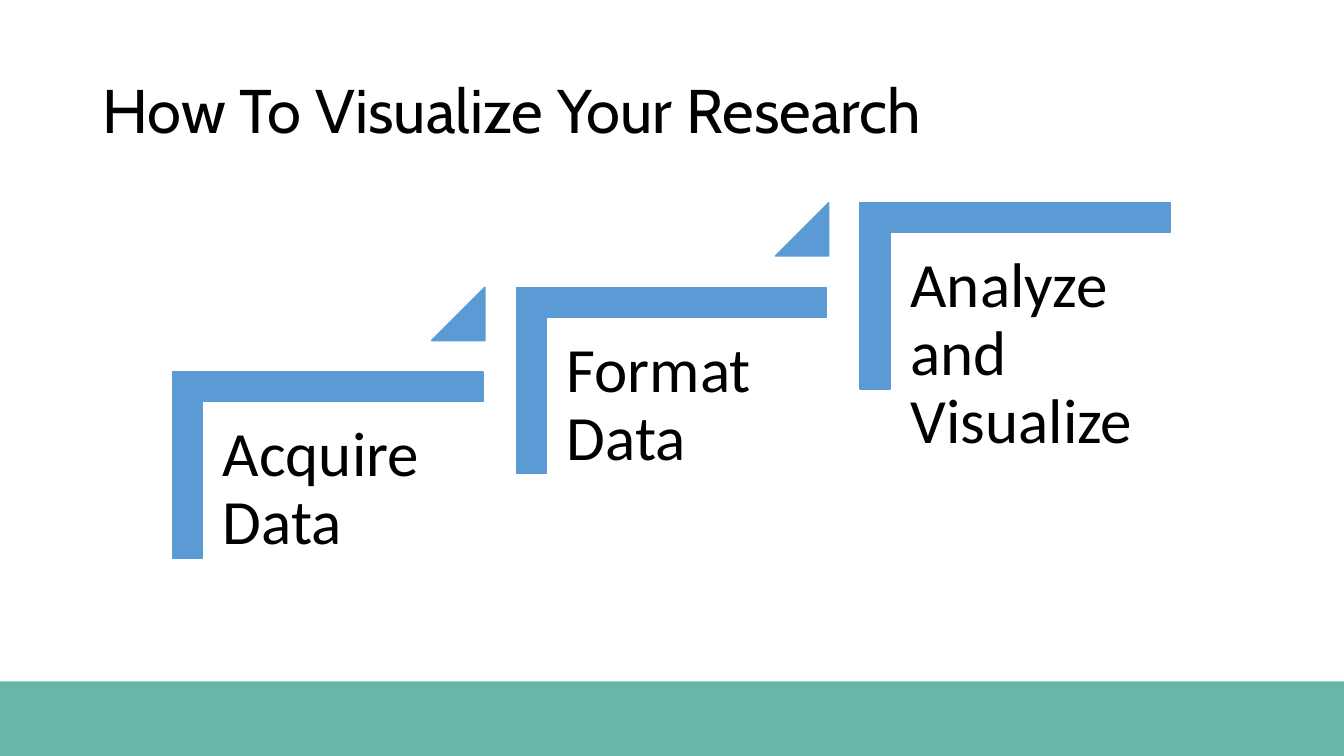
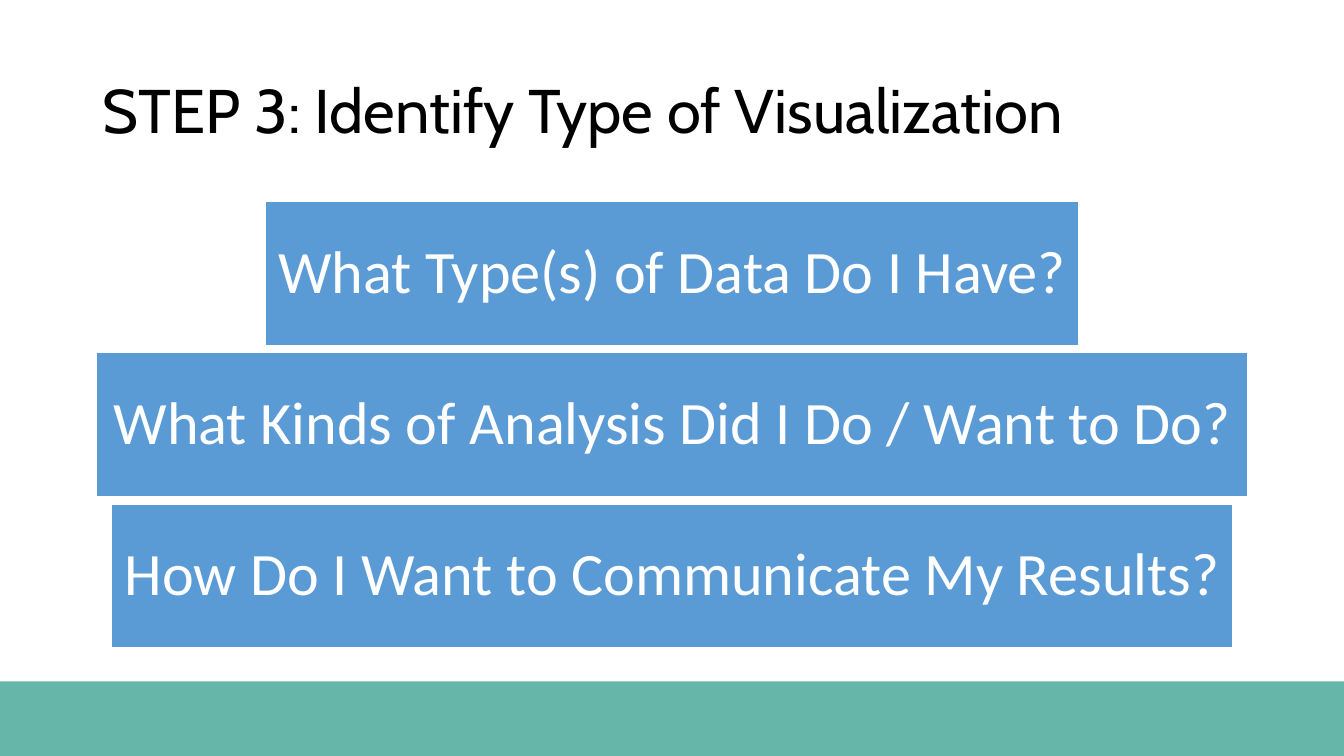
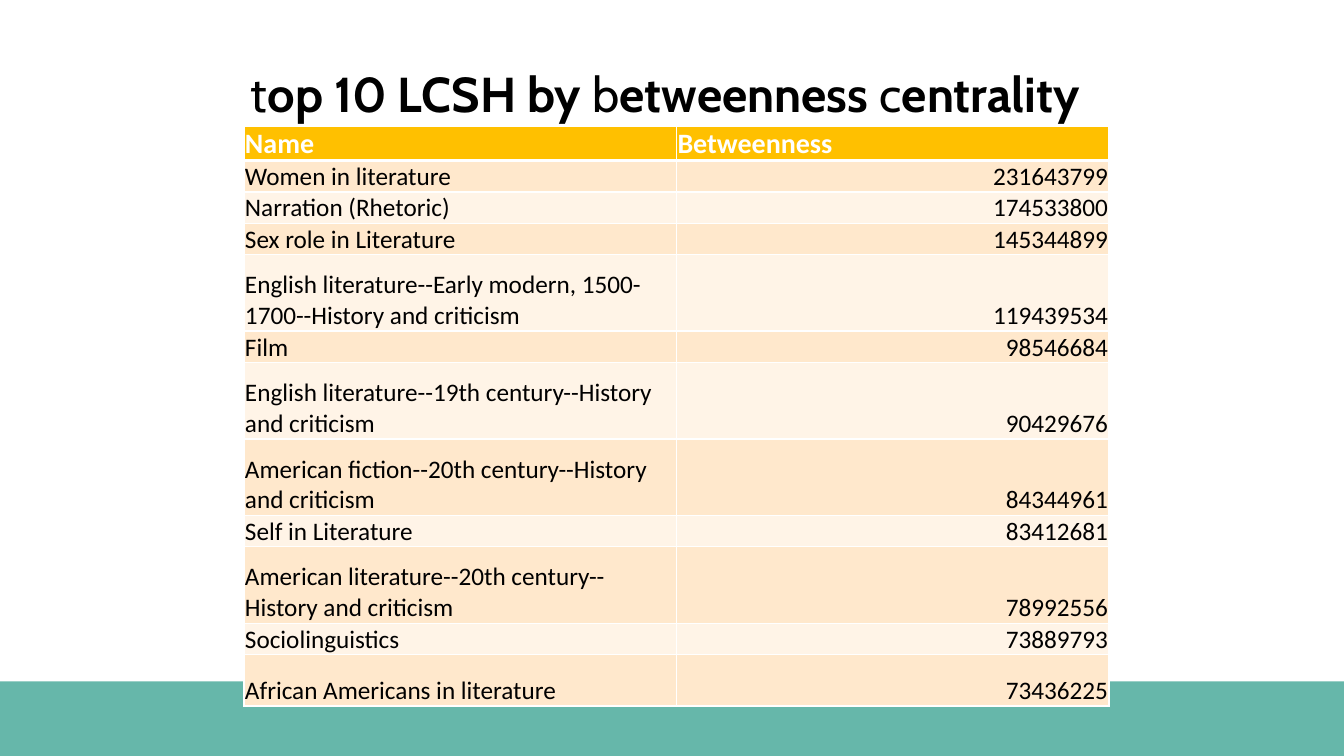
from dataclasses import dataclass
from typing import NamedTuple

from lxml.etree import SubElement
from pptx import Presentation
from pptx.dml.color import RGBColor
from pptx.enum.shapes import MSO_SHAPE as Preset
from pptx.enum.text import MSO_ANCHOR as Anchor, PP_ALIGN as Align
from pptx.oxml import parse_xml
from pptx.oxml.ns import nsdecls, qn
from pptx.shapes.autoshape import Shape
from pptx.slide import Slide
from pptx.table import _Cell as Cell
from pptx.text.text import TextFrame
from pptx.util import Inches, Pt


@dataclass(frozen=True)
class Theme:
    width: float = 13.33
    height: float = 7.5
    band_top: float = 6.76
    band: str = "319F8D"
    band_opacity: int = 74
    accent: str = "5B9BD5"
    dark: str = "000000"
    light: str = "FFFFFF"
    header: str = "FFC000"
    stripes: tuple[str, str] = ("FFE8CC", "FFF4E7")
    title_font: str = "Cabin"
    body_font: str = "Calibri"
    title_size: int = 44
    small_title_size: int = 35
    step_size: int = 45
    question_size: int = 43
    header_size: int = 20
    cell_size: int = 18
    line_spacing: float = 0.9


THEME = Theme()


class Box(NamedTuple):
    left: float
    top: float
    width: float
    height: float


class Span(NamedTuple):
    text: str
    bold: bool = False


class Question(NamedTuple):
    text: str
    width: float


class Subject(NamedTuple):
    name: str
    betweenness: int
    row_height: float = 0.3


TITLE_BOX = Box(0.92, 0.4, 11.5, 1.45)
TABLE_TITLE_BOX = Box(2.39, 0.5, 9.61, 0.92)

# Staircase: first step's corner, shift to the next step, bracket size
STEPS = ("Acquire Data", "Format Data", "Analyze and Visualize")
STEP_LEFT, STEP_TOP = 1.71, 3.69
STEP_RIGHT, STEP_RISE = 3.41, 0.84
BRACKET_WIDTH, BRACKET_HEIGHT = 3.08, 1.85
BRACKET_THICKNESS = 0.16
POINTER_SIZE = 0.53

QUESTIONS = (
    Question("What Type(s) of Data Do I Have?", 8.07),
    Question("What Kinds of Analysis Did I Do / Want to Do?", 11.42),
    Question("How Do I Want to Communicate My Results?", 11.13),
)
QUESTION_TOP, QUESTION_HEIGHT, QUESTION_PITCH = 2, 1.43, 1.5

HEADINGS = ("Name", "Betweenness")
HEADING_HEIGHT = 0.3
SUBJECTS = (
    Subject("Women in literature", 231643799),
    Subject("Narration (Rhetoric)", 174533800),
    Subject("Sex role in Literature", 145344899),
    Subject("English literature--Early modern, 1500-1700--History and criticism", 119439534, 0.76),
    Subject("Film", 98546684),
    Subject("English literature--19th century--History and criticism", 90429676, 0.76),
    Subject("American fiction--20th century--History and criticism", 84344961, 0.76),
    Subject("Self in Literature", 83412681),
    Subject("American literature--20th century--History and criticism", 78992556, 0.76),
    Subject("Sociolinguistics", 73889793),
    Subject("African Americans in literature", 73436225, 0.51),
)
TABLE_LEFT, TABLE_TOP, COLUMN_WIDTH = 2.42, 1.25, 4.29


def inches(box: Box) -> list[int]:
    return [Inches(length) for length in box]


def add_preset(slide: Slide, preset: Preset, box: Box, fill: str, line: str | None = None) -> Shape:
    shape = slide.shapes.add_shape(preset, *inches(box))
    shape.shadow.inherit = False
    shape.fill.solid()
    shape.fill.fore_color.rgb = RGBColor.from_string(fill)
    if line:
        shape.line.color.rgb = RGBColor.from_string(line)
        shape.line.width = Pt(1)
    else:
        shape.line.fill.background()
    return shape


def write(frame: TextFrame, spans: list[Span], font: str, size: int, color: str,
          inset: tuple[float, float], anchor: Anchor, align: Align = Align.LEFT) -> None:
    frame.word_wrap = True
    frame.margin_left = frame.margin_right = Inches(inset[0])
    frame.margin_top = frame.margin_bottom = Inches(inset[1])
    frame.vertical_anchor = anchor
    paragraph = frame.paragraphs[0]
    paragraph.alignment = align
    paragraph.line_spacing = THEME.line_spacing
    paragraph.font.name = font
    paragraph.font.size = Pt(size)
    paragraph.font.color.rgb = RGBColor.from_string(color)
    for span in spans:
        run = paragraph.add_run()
        run.text = span.text
        if span.bold:
            run.font.bold = True


def start_slide(presentation: Presentation, title: list[Span], box: Box = TITLE_BOX,
                size: int = THEME.title_size) -> Slide:
    """Add a blank slide with the shared band and title."""
    slide = presentation.slides.add_slide(presentation.slide_layouts[6])
    band_box = Box(0, THEME.band_top, THEME.width, THEME.height - THEME.band_top)
    band = add_preset(slide, Preset.RECTANGLE, band_box, THEME.band)
    color = band.fill._xPr.find(qn("a:solidFill"))[0]
    SubElement(color, qn("a:alpha")).set("val", str(THEME.band_opacity * 1000))
    frame = slide.shapes.add_textbox(*inches(box)).text_frame
    write(frame, title, THEME.title_font, size, THEME.dark, (0.1, 0.05), Anchor.MIDDLE)
    return slide


def add_step(slide: Slide, index: int, label: str) -> None:
    left = STEP_LEFT + index * STEP_RIGHT
    top = STEP_TOP - index * STEP_RISE
    # The bracket is an upright corner turned about its centre
    turn = (BRACKET_WIDTH - BRACKET_HEIGHT) / 2
    bracket = add_preset(slide, Preset.CORNER,
                         Box(left + turn, top - turn, BRACKET_HEIGHT, BRACKET_WIDTH),
                         THEME.accent, THEME.accent)
    bracket.rotation = 90
    bracket.adjustments[0] = bracket.adjustments[1] = BRACKET_THICKNESS
    frame = slide.shapes.add_textbox(*inches(Box(left + 0.31, top + 0.31, 2.78, 2.44))).text_frame
    write(frame, [Span(label)], THEME.body_font, THEME.step_size, THEME.dark,
          (0.19, 0.19), Anchor.TOP)
    # A pointer leads up to the next step
    if index < len(STEPS) - 1:
        pointer_left = left + BRACKET_WIDTH - POINTER_SIZE + 0.02
        pointer = add_preset(slide, Preset.ISOSCELES_TRIANGLE,
                             Box(pointer_left, top - STEP_RISE, POINTER_SIZE, POINTER_SIZE),
                             THEME.accent, THEME.accent)
        pointer.adjustments[0] = 1


def add_question(slide: Slide, index: int, question: Question) -> None:
    box = Box((THEME.width - question.width) / 2, QUESTION_TOP + index * QUESTION_PITCH,
              question.width, QUESTION_HEIGHT)
    bar = add_preset(slide, Preset.RECTANGLE, box, THEME.accent, THEME.light)
    write(bar.text_frame, [Span(question.text)], THEME.body_font, THEME.question_size,
          THEME.light, (0.12, 0.12), Anchor.MIDDLE, Align.CENTER)


def set_borders(cell: Cell, top: int, bottom: int) -> None:
    properties = cell._tc.get_or_add_tcPr()
    for position, (side, width) in enumerate((("L", 1), ("R", 1), ("T", top), ("B", bottom))):
        properties.insert(position, parse_xml(
            f'<a:ln{side} {nsdecls("a")} w="{Pt(width)}"><a:solidFill>'
            f'<a:srgbClr val="{THEME.light}"/></a:solidFill></a:ln{side}>'))


def fill_cell(cell: Cell, text: str, row: int, column: int) -> None:
    is_header = row == 0
    cell.margin_left = cell.margin_right = cell.margin_top = Inches(0.01)
    cell.margin_bottom = 0
    cell.vertical_anchor = Anchor.BOTTOM
    cell.fill.solid()
    fill = THEME.header if is_header else THEME.stripes[(row - 1) % 2]
    cell.fill.fore_color.rgb = RGBColor.from_string(fill)
    set_borders(cell, top=3 if row == 1 else 1, bottom=3 if is_header else 1)
    cell.text = text
    paragraph = cell.text_frame.paragraphs[0]
    paragraph.alignment = Align.RIGHT if column and not is_header else Align.LEFT
    paragraph.font.name = THEME.body_font
    paragraph.font.size = Pt(THEME.header_size if is_header else THEME.cell_size)
    paragraph.font.bold = is_header
    paragraph.font.color.rgb = RGBColor.from_string(THEME.light if is_header else THEME.dark)


def add_subject_table(slide: Slide) -> None:
    rows = [HEADINGS] + [(subject.name, str(subject.betweenness)) for subject in SUBJECTS]
    heights = [HEADING_HEIGHT] + [subject.row_height for subject in SUBJECTS]
    box = Box(TABLE_LEFT, TABLE_TOP, COLUMN_WIDTH * len(HEADINGS), sum(heights))
    table = slide.shapes.add_table(len(rows), len(HEADINGS), *inches(box)).table
    for row, (texts, height) in enumerate(zip(rows, heights)):
        table.rows[row].height = Inches(height)
        for column, text in enumerate(texts):
            fill_cell(table.cell(row, column), text, row, column)


def main() -> None:
    presentation = Presentation()
    presentation.slide_width = Inches(THEME.width)
    presentation.slide_height = Inches(THEME.height)

    # Staircase of steps
    slide = start_slide(presentation, [Span("How To Visualize Your Research")])
    for index, label in enumerate(STEPS):
        add_step(slide, index, label)

    # Stacked questions
    slide = start_slide(presentation, [Span("STEP 3: Identify Type of Visualization")])
    for index, question in enumerate(QUESTIONS):
        add_question(slide, index, question)

    # Ranking table
    title = [Span("t"), Span("op 10 LCSH by ", True), Span("b"), Span("etweenness ", True),
             Span("c"), Span("entrality", True)]
    slide = start_slide(presentation, title, TABLE_TITLE_BOX, THEME.small_title_size)
    add_subject_table(slide)

    presentation.save("out.pptx")


if __name__ == "__main__":
    main()
